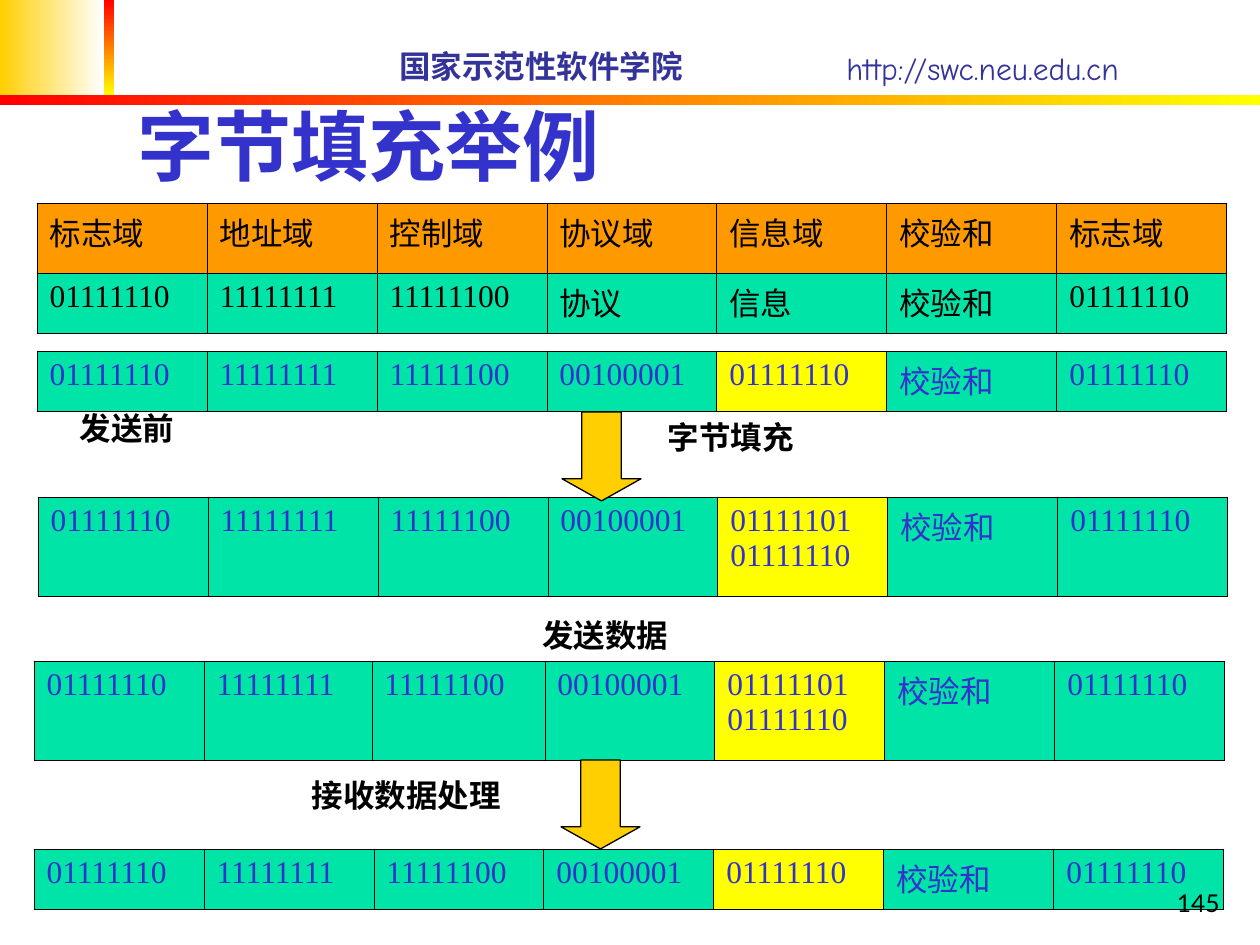
from pptx import Presentation
from pptx.dml.color import RGBColor as RGB
from pptx.enum.shapes import MSO_SHAPE as SHAPE
from pptx.enum.text import MSO_ANCHOR as ANCHOR, PP_ALIGN as ALIGN
from pptx.oxml import parse_xml
from pptx.oxml.ns import nsdecls
from pptx.util import Pt

PX = 914400 / 126  # EMU in one px

THEME = dict(
    red="FF0000", yellow="FFFF00", gold="FFCF01", white="FFFFFF", black="000000",
    navy="333399", blue="3333CC", orange="FF9900", green="00E4A8",
    title=44, body=18, number=14,
)


def emu(*lengths):
    return [round(n * PX) for n in lengths]


def write(tf, text, size, color, font, bold=False, align=ALIGN.LEFT):
    tf.text = text
    for p in tf.paragraphs:
        p.alignment = align
        for r in p.runs:
            fmt = dict(size=Pt(THEME[size]), name=font, bold=bold)
            for key, value in fmt.items():
                setattr(r.font, key, value)
            r.font.color.rgb = RGB.from_string(THEME[color])


prs = Presentation()
prs.slide_width, prs.slide_height = emu(1260, 945)
s = prs.slides.add_slide(prs.slide_layouts[6])

# Gradient corner and bars
for box, start, end, angle in [
    ((0, 0, 104, 95), "gold", "white", 0),
    ((104, 0, 10, 95), "red", "yellow", 270),
    ((0, 95, 1260, 10), "red", "yellow", 0),
]:
    sp = s.shapes.add_shape(SHAPE.RECTANGLE, *emu(*box))
    sp.shadow.inherit = False
    sp.line.fill.background()
    sp.fill.gradient()
    sp.fill.gradient_angle = angle
    for stop, color in zip(sp.fill.gradient_stops, (start, end)):
        stop.color.rgb = RGB.from_string(THEME[color])

# Frame tables: position, column widths, row heights, text colour, rows
FLAG, STUFFED = "01111110", "01111101\n01111110"
EVEN = [170] * 7
UNEVEN = [170, 168, 173] + [170] * 4
head = ["标志域", "地址域", "控制域", "协议域", "信息域", "校验和", "标志域"]
layout = [FLAG, "11111111", "11111100", "协议", "信息", "校验和", FLAG]
plain, stuffed = (
    [FLAG, "11111111", "11111100", "00100001", info, "校验和", FLAG]
    for info in (FLAG, STUFFED)
)
for x, y, cols, heights, color, rows in [
    (37, 203, EVEN, [70, 60], "black", [head, layout]),
    (37, 351, EVEN, [60], "blue", [plain]),
    (38, 497, EVEN, [99], "blue", [stuffed]),
    (34, 661, UNEVEN, [99], "blue", [stuffed]),
    (34, 849, EVEN, [60], "blue", [plain]),
]:
    size = emu(x, y, sum(cols), sum(heights))
    table = s.shapes.add_table(len(rows), len(cols), *size).table
    table.first_row = table.horz_banding = False
    for col, width in zip(table.columns, emu(*cols)):
        col.width = width
    for row, height in zip(table.rows, emu(*heights)):
        row.height = height
    for i, values in enumerate(rows):
        for j, value in enumerate(values):
            cell = table.cell(i, j)
            write(cell.text_frame, value, "body", color, "Times New Roman")
            fill = "green"
            if values is head:
                fill = "orange"
            elif j == 4 and values is not layout:
                fill = "yellow"
            cell.fill.solid()
            cell.fill.fore_color.rgb = RGB.from_string(THEME[fill])
            for k, side in enumerate(("lnL", "lnR", "lnT", "lnB")):
                cell._tc.tcPr.insert(k, parse_xml(
                    f'<a:{side} {nsdecls("a")} w="5715"><a:solidFill>'
                    f'<a:srgbClr val="{THEME["black"]}"/></a:solidFill></a:{side}>'))

# Down arrows between frames
for x, y in [(562, 412), (561, 760)]:
    sp = s.shapes.add_shape(SHAPE.DOWN_ARROW, *emu(x, y, 79, 89))
    sp.adjustments[0], sp.adjustments[1] = 0.5, 0.28
    sp.shadow.inherit = False
    sp.fill.solid()
    sp.fill.fore_color.rgb = RGB.from_string(THEME["gold"])
    sp.line.color.rgb = RGB.from_string(THEME["black"])
    sp.line.width = Pt(0.75)

# Header, title, step labels and slide number
HEADER = ("body", "navy", "Comic Neue")
LABEL = ("body", "black", "Arial", True, ALIGN.CENTER)
for text, box, anchor, style in [
    ("国家示范性软件学院", (387, 41, 400, 50), ANCHOR.MIDDLE, (*HEADER, True)),
    ("http://swc.neu.edu.cn", (834, 43, 397, 50), ANCHOR.MIDDLE, HEADER),
    ("字节填充举例", (125, 92, 1029, 105), ANCHOR.MIDDLE, ("title", "blue", "Lato", True)),
    ("字节填充", (612, 412, 238, 50), ANCHOR.TOP, LABEL),
    ("发送前", (25, 403, 204, 50), ANCHOR.TOP, LABEL),
    ("发送数据", (476, 610, 258, 50), ANCHOR.TOP, LABEL),
    ("接收数据处理", (223, 770, 367, 50), ANCHOR.TOP, LABEL),
    ("145", (970, 861, 262, 63), ANCHOR.BOTTOM,
     ("number", "black", "Lato", False, ALIGN.RIGHT)),
]:
    tf = s.shapes.add_textbox(*emu(*box)).text_frame
    tf.word_wrap = True
    tf.vertical_anchor = anchor
    write(tf, text, *style)

prs.save("out.pptx")
